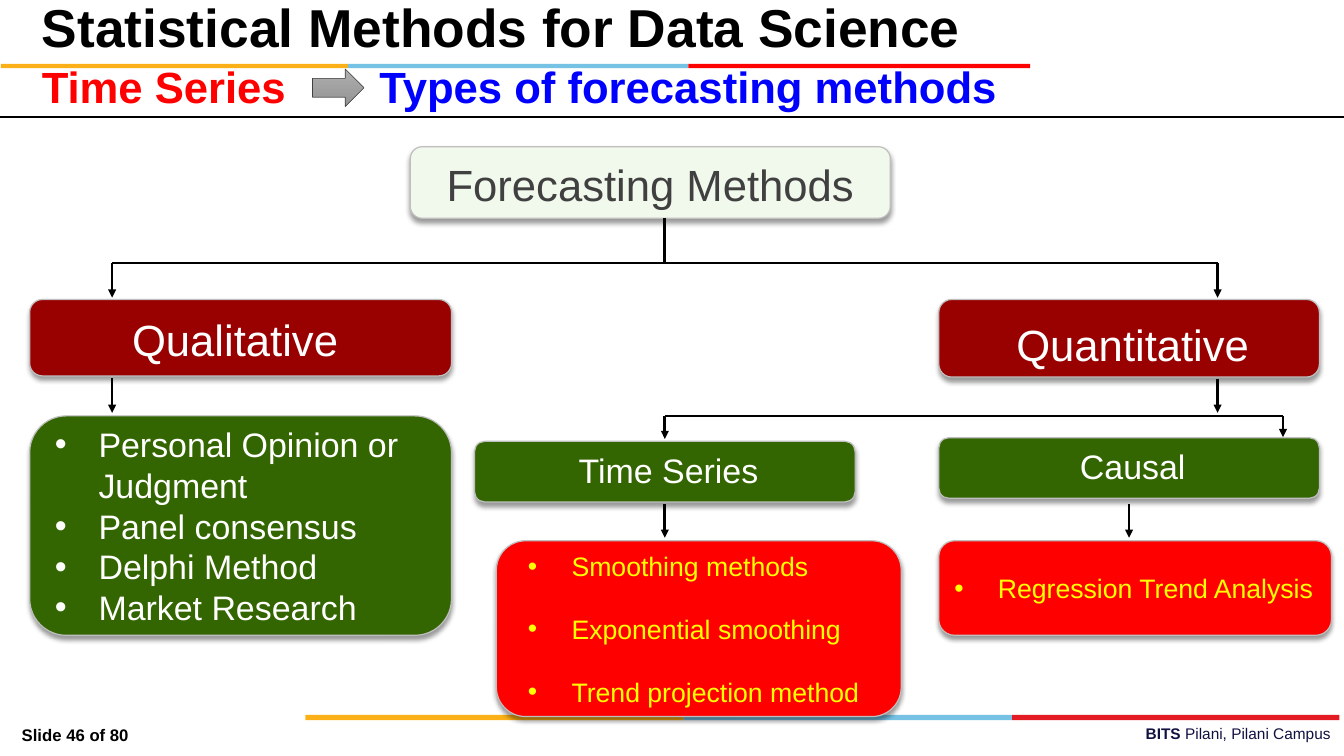
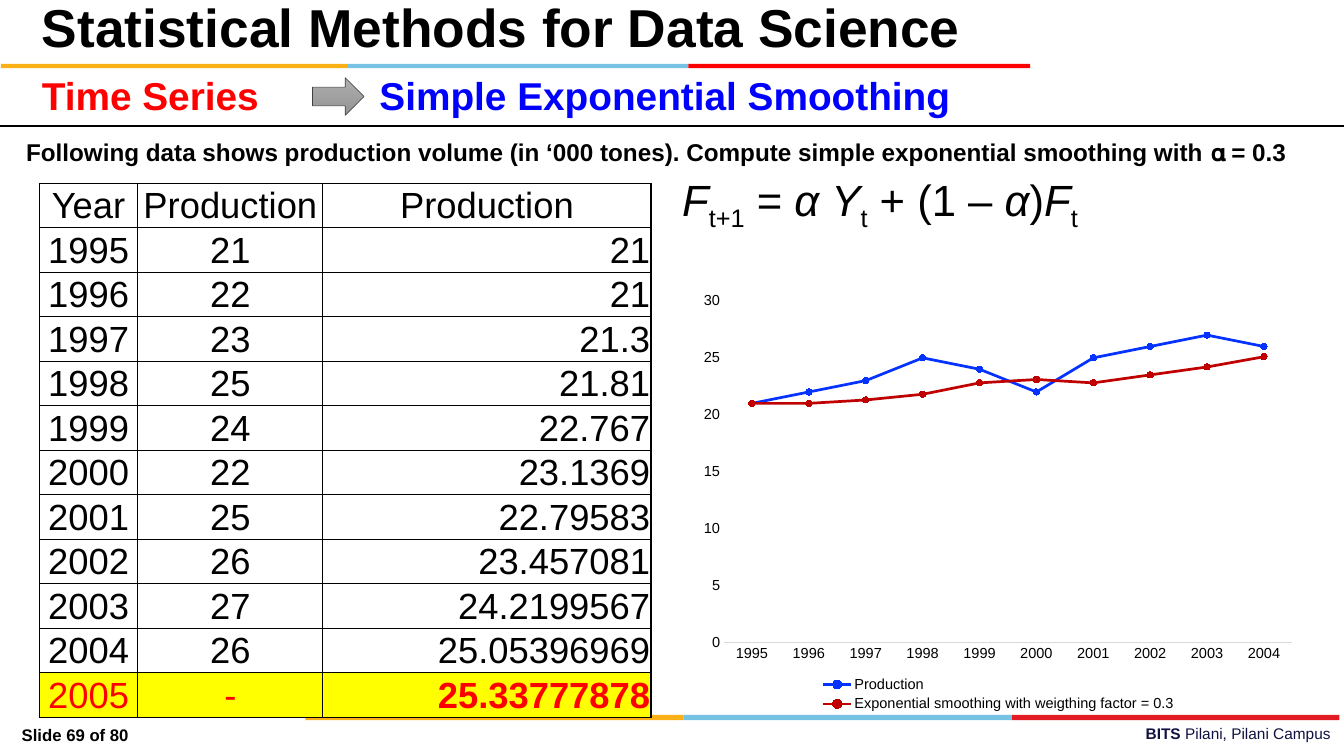
from collections import namedtuple

from lxml import etree
from pptx import Presentation
from pptx.chart import data
from pptx.dml.color import RGBColor
from pptx.enum import chart as charts, shapes, text
from pptx.oxml import ns
from pptx.util import Pt

Box = namedtuple("Box", "left top width height")

WIDTH, HEIGHT = 1108.8, 623.5
FONT = "Arial"
BLACK = RGBColor(0, 0, 0)
WHITE = RGBColor(0xFF, 0xFF, 0xFF)
RED = RGBColor(0xFF, 0, 0)
BLUE = RGBColor(0, 0, 0xFF)
YELLOW = RGBColor(0xFF, 0xFF, 0)
GOLD = RGBColor(0xFC, 0xB0, 0x17)
SKY = RGBColor(0x76, 0xC2, 0xE5)
CRIMSON = RGBColor(0xE3, 0x1C, 0x24)
NAVY = RGBColor(0x10, 0x11, 0x41)
MAROON = RGBColor(0x99, 0, 0)
GREEN = RGBColor(0x33, 0x66, 0)
MINT = RGBColor(0xF1, 0xF8, 0xEC)
CHARCOAL = RGBColor(0x40, 0x40, 0x40)
SILVER = RGBColor(0xBF, 0xBF, 0xBF)
PALE_GRAY = RGBColor(0xD9, 0xD9, 0xD9)
ARROW_LIGHT = RGBColor(0xAF, 0xAF, 0xAF)
ARROW_DARK = RGBColor(0x93, 0x93, 0x93)
SERIES_BLUE = RGBColor(0x04, 0x32, 0xFF)
SERIES_RED = RGBColor(0xC0, 0, 0)

LEFT, CENTER, RIGHT = (text.PP_ALIGN.LEFT, text.PP_ALIGN.CENTER,
                       text.PP_ALIGN.RIGHT)
MIDDLE = text.MSO_ANCHOR.MIDDLE


def apply(target, values):
    for name, value in values.items():
        setattr(target, name, value)


def points(*lengths):
    return [Pt(length) for length in lengths]


def child(parent, tag, **attributes):
    return etree.SubElement(parent, ns.qn(tag), attributes)


def style_font(font, size, color, bold=False, italic=False):
    apply(font, {"name": FONT, "size": Pt(size), "bold": bold,
                 "italic": italic})
    font.color.rgb = color


def write(frame, lines, size, color, bold=False, align=LEFT,
          insets=(7.2, 3.6, 7.2, 3.6), bullet=False, gap=0, spacing=1.0):
    sides = ("margin_left", "margin_top", "margin_right", "margin_bottom")
    apply(frame, dict(zip(sides, points(*insets))))
    apply(frame, {"word_wrap": True, "vertical_anchor": MIDDLE})
    for index, line in enumerate(lines):
        para = frame.paragraphs[0] if index == 0 else frame.add_paragraph()
        apply(para, {"alignment": align, "line_spacing": spacing})
        if index and gap:
            para.space_before = Pt(gap)
        if bullet:
            props = para._p.get_or_add_pPr()
            props.set("marL", str(Pt(36)))
            props.set("indent", str(Pt(-36)))
            child(props, "a:buFont", typeface=FONT)
            child(props, "a:buChar", char="•")
        for words, changes in [(line, {})] if isinstance(line, str) else line:
            span = para.add_run()
            span.text = words
            style_font(span.font, size, color, changes.get("bold", bold),
                       changes.get("italic", False))
            if changes.get("sub"):
                span._r.get_or_add_rPr().set("baseline", "-25000")


def label(page, box, lines, size, color, **options):
    shape = page.shapes.add_textbox(*points(*box))
    write(shape.text_frame, lines, size, color, **options)


def draw_line(page, start, end, weight=2.25, arrow=False):
    line = page.shapes.add_connector(shapes.MSO_CONNECTOR.STRAIGHT,
                                     *points(*start, *end))
    line.line.color.rgb = BLACK
    line.line.width = Pt(weight)
    if arrow:
        child(line.line._get_or_add_ln(), "a:tailEnd", type="triangle")
    child(line._element.spPr, "a:effectLst")


def stripe(page, top, height, edges, colors):
    for left, right, color in zip(edges, edges[1:], colors):
        band = page.shapes.add_shape(
            shapes.MSO_SHAPE.RECTANGLE,
            *points(left, top, right - left, height))
        band.shadow.inherit = False
        band.fill.solid()
        band.fill.fore_color.rgb = color
        band.line.fill.background()


def header(page, box, topic, size):
    bottom = box.top + box.height
    stripe(page, box.top + 52.6, 3.6,
           [box.left + edge for edge in (0.7, 287, 568, 850)],
           (GOLD, SKY, RED))
    label(page, Box(box.left + 27.4, box.top, 911.5, 49),
          ["Statistical Methods for Data Science"], 44, BLACK,
          bold=True, spacing=0.9)
    for left, width, words, color in ((27.4, 236, "Time Series", RED),
                                      (306, 778, topic, BLUE)):
        label(page, Box(box.left + left, bottom - 49, width, 47.5),
              [words], size, color, bold=True)
    arrow = page.shapes.add_shape(
        shapes.MSO_SHAPE.RIGHT_ARROW,
        *points(box.left + 257.8, bottom - 39.6, 42.5, 31))
    arrow.shadow.inherit = False
    arrow.fill.gradient()
    arrow.fill.gradient_angle = 270
    for stop, color in zip(arrow.fill.gradient_stops,
                           (ARROW_LIGHT, ARROW_DARK)):
        stop.color.rgb = color
    arrow.line.color.rgb = CHARCOAL
    arrow.line.width = Pt(0.5)
    draw_line(page, (box.left, bottom), (box.left + box.width, bottom), 1.5)


def footer(page, box, number):
    stripe(page, box.top, 4.3,
           [box.left + edge for edge in (252, 564, 835, 1105)],
           (GOLD, SKY, CRIMSON))
    label(page, Box(box.left + 396, box.top + 3.6, 709, 22.3),
          [[("BITS ", {"bold": True}), ("Pilani, Pilani Campus", {})]],
          12.7, NAVY, align=RIGHT)
    label(page, Box(box.left + 10.8, box.top + 5, 182, 22.3),
          [f"Slide {number} of 80"], 13.8, BLACK, bold=True)


def node(page, box, fill, lines, size, color, **options):
    shape = page.shapes.add_shape(shapes.MSO_SHAPE.ROUNDED_RECTANGLE,
                                  *points(*box))
    shape.fill.solid()
    shape.fill.fore_color.rgb = fill
    shape.line.color.rgb = SILVER
    shape.line.width = Pt(1)
    shape.shadow.inherit = False
    effects = shape._element.spPr.find(ns.qn("a:effectLst"))
    shadow = child(effects, "a:outerShdw", blurRad=str(Pt(4)),
                   dist=str(Pt(3)), dir="5400000", rotWithShape="0")
    child(child(shadow, "a:srgbClr", val=str(BLACK)), "a:alpha", val="40000")
    write(shape.text_frame, lines, size, color, **options)


def methods_tree(page, box):
    opinions = ["Personal Opinion or Judgment", "Panel consensus",
                "Delphi Method", "Market Research"]
    smoothing = ["Smoothing methods", "Exponential smoothing",
                 "Trend projection method"]
    titles = (
        ((314, 1, 396, 59), MINT, "Forecasting Methods", 36, CHARCOAL,
         (0, 3, 0, 0)),
        ((0, 127, 348, 63), MAROON, "Qualitative", 36, WHITE, (0, 3, 9, 0)),
        ((750, 127, 314, 64), MAROON, "Quantitative", 36, WHITE,
         (6, 10, 0, 0)),
        ((367, 244, 314, 50), GREEN, "Time Series", 28, WHITE, (6, 0, 0, 3)),
        ((750, 241, 314, 50), GREEN, "Causal", 28, WHITE, (6, 0, 0, 3)),
    )
    lists = (
        ((0, 223, 348, 181), GREEN, opinions, 28, WHITE, 12, 0),
        ((385, 326, 334, 145), RED, smoothing, 22, YELLOW, 19, 25.3),
        ((750, 326, 324, 78), RED, ["Regression Trend Analysis"], 22, YELLOW,
         9, 0),
    )
    links = (
        ((524, 60), (524, 97), False),
        ((68, 97), (980, 97), False),
        ((68, 97), (68, 125.5), True),
        ((980, 97), (980, 125.5), True),
        ((68, 192), (68, 220.5), True),
        ((980, 193), (980, 220.5), True),
        ((524, 223), (1034, 223), False),
        ((524, 223), (524, 242), True),
        ((1034, 223), (1034, 240.5), True),
        ((524, 296), (524, 323.5), True),
        ((907, 296), (907, 323.5), True),
    )

    def place(left, top):
        return box.left + left, box.top + top

    for (left, top, *extent), fill, words, size, color, insets in titles:
        node(page, Box(*place(left, top), *extent), fill, [words], size,
             color, align=CENTER, insets=insets)
    for (left, top, *extent), fill, lines, size, color, inset, gap in lists:
        node(page, Box(*place(left, top), *extent), fill, lines, size, color,
             insets=(inset, 0, 0, 0), bullet=True, gap=gap)
    for start, end, arrow in links:
        draw_line(page, place(*start), place(*end), arrow=arrow)


def data_table(page, box, widths, rows, align, bold_last=False):
    frame = page.shapes.add_table(len(rows), len(widths), *points(*box))
    table = frame.table
    apply(table, {"first_row": False, "horz_banding": False})
    for column, width in zip(table.columns, widths):
        column.width = Pt(width)
    for index, values in enumerate(rows):
        last = index == len(rows) - 1
        table.rows[index].height = Pt(box.height / len(rows))
        for cell, value in zip(table.rows[index].cells, values):
            props = cell._tc.get_or_add_tcPr()
            for side in ("a:lnL", "a:lnR", "a:lnT", "a:lnB"):
                fill = child(child(props, side, w=str(Pt(1))), "a:solidFill")
                child(fill, "a:srgbClr", val=str(BLACK))
            cell.fill.solid()
            cell.fill.fore_color.rgb = YELLOW if last else WHITE
            write(cell.text_frame, [value], 30, RED if last else BLACK,
                  bold=last and bold_last, align=align if index else CENTER)
            apply(cell, {"margin_left": Pt(0.7), "margin_right": Pt(0.7),
                         "margin_top": Pt(0.7), "margin_bottom": 0,
                         "vertical_anchor": MIDDLE})


def set_layout(parent, position, **values):
    for old in parent.findall(ns.qn("c:layout")):
        parent.remove(old)
    layout = etree.Element(ns.qn("c:layout"))
    manual = child(layout, "c:manualLayout")
    if position == 0:
        child(manual, "c:layoutTarget", val="inner")
    for name in ("xMode", "yMode"):
        child(manual, f"c:{name}", val="edge")
    for name, value in values.items():
        child(manual, f"c:{name}", val=str(value))
    parent.insert(position, layout)


def smoothing_chart(page, box, years, series):
    source = data.CategoryChartData()
    source.categories = years
    for name, values, _ in series:
        source.add_series(name, values)
    chart = page.shapes.add_chart(charts.XL_CHART_TYPE.LINE_MARKERS,
                                  *points(*box), source).chart
    apply(chart, {"has_title": False, "has_legend": True})
    style_font(chart.font, 12, BLACK)
    chart.plots[0].vary_by_categories = False
    for line, (_, _, color) in zip(chart.plots[0].series, series):
        line.smooth = False
        line.format.line.color.rgb = color
        line.format.line.width = Pt(2.25)
        apply(line.marker, {"style": charts.XL_MARKER_STYLE.CIRCLE,
                            "size": 5})
        line.marker.format.fill.solid()
        line.marker.format.fill.fore_color.rgb = color
        line.marker.format.line.color.rgb = color
    for axis in (chart.category_axis, chart.value_axis):
        apply(axis, {"has_major_gridlines": False,
                     "major_tick_mark": charts.XL_TICK_MARK.NONE,
                     "minor_tick_mark": charts.XL_TICK_MARK.NONE})
        style_font(axis.tick_labels.font, 12, BLACK)
    chart.category_axis.format.line.color.rgb = PALE_GRAY
    chart.category_axis.format.line.width = Pt(0.75)
    chart.value_axis.format.line.fill.background()
    apply(chart.value_axis, {"minimum_scale": 0, "maximum_scale": 30,
                             "major_unit": 5})
    apply(chart.legend, {"position": charts.XL_LEGEND_POSITION.BOTTOM,
                         "include_in_layout": False})
    style_font(chart.legend.font, 12, BLACK)
    plot_area = chart._chartSpace.find(".//" + ns.qn("c:plotArea"))
    set_layout(plot_area, 0, x=0.05, y=0.04, w=0.93, h=0.79)
    set_layout(chart.legend._element, 1, x=0.2, y=0.9, w=0.6, h=0.1)


def formula(page, box):
    italic, sub = {"italic": True}, {"sub": True}
    label(page, box, [[("F", italic), ("t+1", sub), (" = ", {}),
                       ("α Y", italic), ("t", sub), (" + (1 – ", {}),
                       ("α", italic), (")", {}), ("F", italic),
                       ("t", sub)]], 36, BLACK)


def new_page(deck, topic, size, header_height, number):
    page = deck.slides.add_slide(deck.slide_layouts[6])
    footer(page, Box(0, 589.7, WIDTH, 33.8), number)
    header(page, Box(0, 0, WIDTH, header_height), topic, size)
    return page


def smoothing_page(deck):
    page = new_page(deck, "Simple Exponential Smoothing", 32, 103.7, 69)
    label(page, Box(14.4, 109.4, 1074, 31),
          ["Following data shows production volume (in ‘000 tones). "
           "Compute simple exponential smoothing with 𝛂 = 0.3"],
          20, BLACK, bold=True)
    years = [str(year) for year in range(1995, 2006)]
    volumes = [21, 22, 23, 25, 24, 22, 25, 26, 27, 26]
    forecasts = ["21", "21", "21.3", "21.81", "22.767", "23.1369", "22.79583",
                 "23.457081", "24.2199567", "25.05396969", "25.33777878"]
    production = list(zip(years, [str(value) for value in volumes] + ["-"]))
    data_table(page, Box(32.4, 151.2, 234, 439.2), (81.4, 152.6),
               [("Year", "Production")] + production, CENTER)
    data_table(page, Box(266.4, 151.2, 270.7, 440.6), (270.7,),
               [("Production",)] + [(value,) for value in forecasts],
               RIGHT, bold_last=True)
    smoothed = [round(float(value), 1) for value in forecasts[:-1]]
    smoothing_chart(page, Box(571.7, 234, 504.7, 356.4), years[:-1], (
        ("Production", volumes, SERIES_BLUE),
        ("Exponential smoothing with weigthing factor = 0.3", smoothed,
         SERIES_RED)))
    formula(page, Box(555.8, 142, 368, 51))


def main():
    deck = Presentation()
    apply(deck, {"slide_width": Pt(WIDTH), "slide_height": Pt(HEIGHT)})
    page = new_page(deck, "Types of forecasting methods", 36, 96.5, 46)
    methods_tree(page, Box(24.5, 120, 1075, 471))
    smoothing_page(deck)
    deck.save("out.pptx")


if __name__ == "__main__":
    main()
